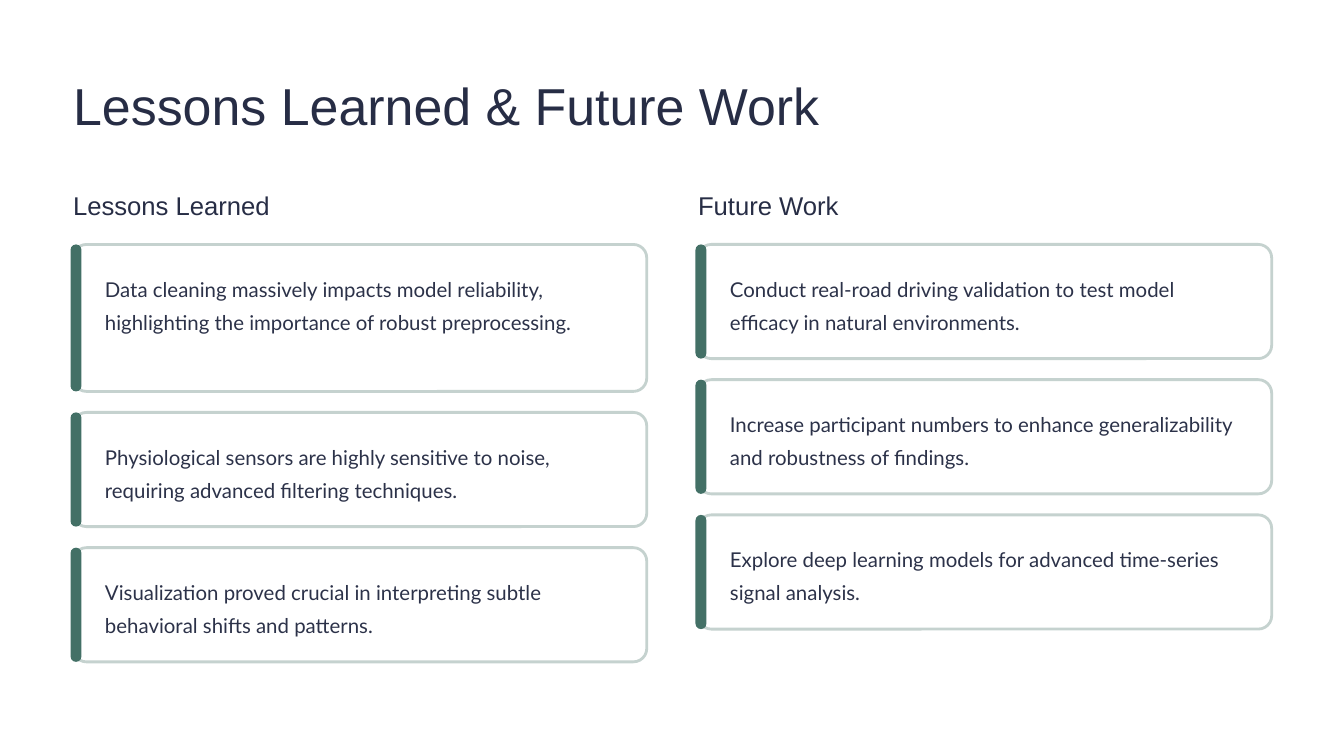
import pptx
import pptx.dml.color
import pptx.enum.shapes
import pptx.enum.text
import pptx.util

Inches = pptx.util.Inches
Pt = pptx.util.Pt
RGBColor = pptx.dml.color.RGBColor
ROUNDED = pptx.enum.shapes.MSO_SHAPE.ROUNDED_RECTANGLE

HEADING_INK = RGBColor(0x27, 0x2D, 0x45)
BODY_INK = RGBColor(0x2C, 0x32, 0x49)
CARD_FILL = RGBColor(0xFF, 0xFF, 0xFF)
CARD_BORDER = RGBColor(0xC5, 0xD2, 0xCF)
ACCENT = RGBColor(0x43, 0x70, 0x66)

TITLE = "Lessons Learned & Future Work"
# Each column: left edge, heading placeholder index, heading, cards (height, text)
COLUMNS = [
    (0.87, 1, "Lessons Learned", [
        (1.75, "Data cleaning massively impacts model reliability, "
               "highlighting the importance of robust preprocessing."),
        (1.36, "Physiological sensors are highly sensitive to noise, "
               "requiring advanced filtering techniques."),
        (1.36, "Visualization proved crucial in interpreting subtle "
               "behavioral shifts and patterns."),
    ]),
    (8.31, 3, "Future Work", [
        (1.36, "Conduct real-road driving validation to test model "
               "efficacy in natural environments."),
        (1.36, "Increase participant numbers to enhance generalizability "
               "and robustness of findings."),
        (1.36, "Explore deep learning models for advanced time-series "
               "signal analysis."),
    ]),
]

CARDS_TOP, CARD_WIDTH, CARD_GAP = 2.91, 6.83, 0.25
CORNER_RADIUS = 0.16
BAR_WIDTH, BAR_OVERHANG = 0.13, 0.03
PAD_X, PAD_Y, TEXT_WIDTH = 0.38, 0.28, 6.17


def write(holder, text, box, size, leading, font, color):
    """Place a text holder at box and fill it with one formatted paragraph."""
    holder.left, holder.top, holder.width, holder.height = map(Inches, box)
    frame = holder.text_frame
    frame.margin_left = frame.margin_top = 0
    frame.margin_right = frame.margin_bottom = 0
    frame.auto_size = pptx.enum.text.MSO_AUTO_SIZE.NONE
    frame.word_wrap = True
    frame.vertical_anchor = pptx.enum.text.MSO_ANCHOR.TOP
    frame.text = text
    line = frame.paragraphs[0]
    line.alignment = pptx.enum.text.PP_ALIGN.LEFT
    line.line_spacing = Pt(leading)
    line.space_before = Pt(0)
    line.font.name = font
    line.font.size = Pt(size)
    line.font.bold = False
    line.font.color.rgb = color


def add_rounded(slide, box, radius_share, fill, border=None):
    panel = slide.shapes.add_shape(ROUNDED, *map(Inches, box))
    panel.adjustments[0] = radius_share
    panel.shadow.inherit = False
    panel.fill.solid()
    panel.fill.fore_color.rgb = fill
    if border is None:
        panel.line.fill.background()
    else:
        panel.line.color.rgb = border
        panel.line.width = Pt(2.4)


def add_card(slide, left, top, height, text):
    add_rounded(slide, (left, top, CARD_WIDTH, height),
                CORNER_RADIUS / height, CARD_FILL, CARD_BORDER)
    add_rounded(slide, (left - BAR_OVERHANG, top, BAR_WIDTH, height), 0.5, ACCENT)
    box = (left + PAD_X, top + PAD_Y, TEXT_WIDTH, height - 2 * PAD_Y)
    write(slide.shapes.add_textbox(0, 0, 0, 0), text, box, size=17.5,
          leading=28.5, font="Lato", color=BODY_INK)


def main():
    deck = pptx.Presentation()
    deck.slide_width, deck.slide_height = Inches(16), Inches(9)
    comparison = deck.slide_layouts.get_by_name("Comparison")
    slide = deck.slides.add_slide(comparison)

    write(slide.shapes.title, TITLE, (0.87, 0.85, 14.27, 0.78), size=44.5,
          leading=55.5, font="Arial", color=HEADING_INK)

    headings = {holder.placeholder_format.idx: holder
                for holder in slide.placeholders}
    for left, index, heading, cards in COLUMNS:
        write(headings[index], heading, (left, 2.24, CARD_WIDTH, 0.39), size=22,
              leading=27.5, font="Arial", color=HEADING_INK)
        top = CARDS_TOP
        for height, text in cards:
            add_card(slide, left, top, height, text)
            top += height + CARD_GAP

    for holder in list(slide.placeholders):
        if not holder.text_frame.text:
            holder.element.getparent().remove(holder.element)

    deck.save("out.pptx")


if __name__ == "__main__":
    main()
